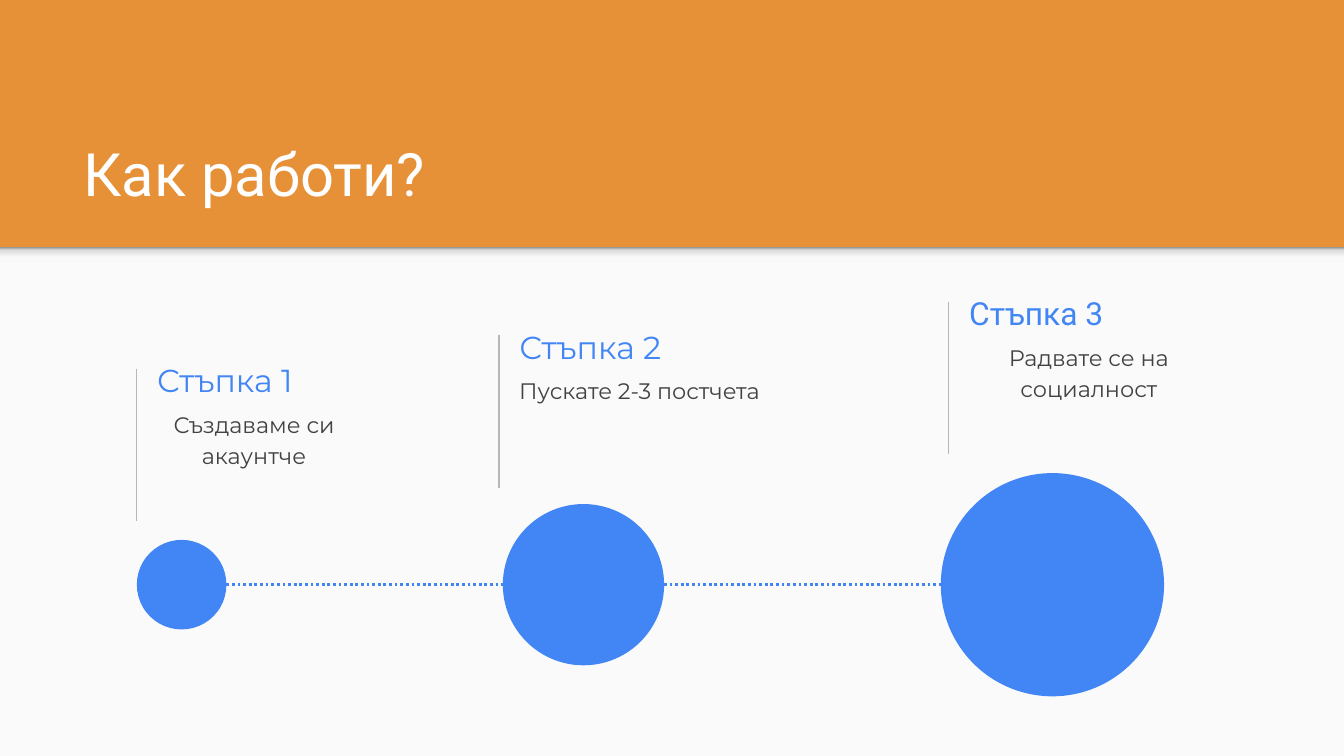
from lxml.etree import SubElement
from pptx import Presentation
from pptx.dml.color import RGBColor
from pptx.enum.dml import MSO_LINE
from pptx.enum.shapes import MSO_CONNECTOR, MSO_SHAPE
from pptx.enum.text import MSO_ANCHOR, MSO_AUTO_SIZE, PP_ALIGN
from pptx.oxml.ns import qn
from pptx.util import Pt

ORANGE = RGBColor(0xE6, 0x91, 0x38)
PAPER = RGBColor(0xFA, 0xFA, 0xFA)
WHITE = RGBColor(0xFF, 0xFF, 0xFF)
BLUE = RGBColor(0x42, 0x85, 0xF4)
GRAY = RGBColor(0xB7, 0xB7, 0xB7)
DARK = RGBColor(0x42, 0x42, 0x42)
FADE = [(0, "F9F9F9"), (36, "F9F9F9"), (80, "DEDEDE"), (100, "999999")]

WIDTH, HEIGHT = 720, 405
EDGE = 132.5    # where the orange header ends
AXIS = 313.25   # centre line of the circles
RULE = 81.7     # height of the gray rules
HEAD_W = 142.5
LEFT, MID = PP_ALIGN.LEFT, PP_ALIGN.CENTER

TITLE = "Как работи?"
# head, head font, body, body alignment, body width, rule x, rule top
STEPS = [
    ("Стъпка 1", "Montserrat", "Създаваме си акаунтче", MID, 118, 73.3, 197.6),
    ("Стъпка 2", "Montserrat", "Пускате 2-3 постчета", LEFT, 161, 267.3, 179.5),
    ("Стъпка 3", "Roboto", "Радвате се на социалност", MID, 142.5, 508.3, 161.7),
]
DOTS = [(73.3, 48), (269.4, 86.4), (504, 119.6)]  # left, diameter


def write(box, place, text, font, size, color, align=LEFT, anchor=MSO_ANCHOR.TOP):
    """Place a text shape and fill it with one run; return its paragraph."""
    box.left, box.top, box.width, box.height = map(Pt, place)
    frame = box.text_frame
    frame.word_wrap = True
    frame.auto_size = MSO_AUTO_SIZE.NONE
    frame.vertical_anchor = anchor
    frame.margin_left = frame.margin_right = Pt(7.2)
    frame.margin_top = frame.margin_bottom = Pt(7.2)
    para = frame.paragraphs[0]
    para.alignment = align
    run = para.add_run()
    run.text = text
    run.font.name, run.font.size = font, Pt(size)
    run.font.color.rgb = color
    return para


def draw(shapes, kind, place, color):
    shape = shapes.add_shape(kind, *map(Pt, place))
    shape.shadow.inherit = False
    shape.fill.solid()
    shape.fill.fore_color.rgb = color
    shape.line.fill.background()
    return shape


def link(shapes, ends, color, width):
    line = shapes.add_connector(MSO_CONNECTOR.STRAIGHT, *map(Pt, ends))
    line.line.color.rgb = color
    line.line.width = Pt(width)
    SubElement(line._element.spPr, qn("a:effectLst"))
    return line


def fade(shape, stops):
    """Fill a shape with a gradient that runs from bottom to top."""
    shape.fill.gradient()
    shape.fill.gradient_angle = 90
    group = shape._element.spPr.find(qn("a:gradFill")).find(qn("a:gsLst"))
    for old in list(group):
        group.remove(old)
    for pos, color in stops:
        stop = SubElement(group, qn("a:gs"), pos=str(pos * 1000))
        SubElement(stop, qn("a:srgbClr"), val=color)


def main():
    deck = Presentation()
    deck.slide_width, deck.slide_height = Pt(WIDTH), Pt(HEIGHT)
    slide = deck.slides.add_slide(deck.slide_layouts[5])
    shapes = slide.shapes
    slide.background.fill.solid()
    slide.background.fill.fore_color.rgb = ORANGE

    draw(shapes, MSO_SHAPE.RECTANGLE, (0, EDGE, WIDTH, HEIGHT - EDGE), PAPER)
    fade(draw(shapes, MSO_SHAPE.RECTANGLE, (0, EDGE, WIDTH, 8.6), PAPER), FADE)
    write(shapes.title, (37.4, 58.3, 647.3, 60.5), TITLE, "Roboto", 32, WHITE,
          anchor=MSO_ANCHOR.BOTTOM)

    for head, font, body, align, wide, x, top in STEPS:
        link(shapes, (x, top, x, top + RULE), GRAY, 0.75)
        left = x + 3.8
        box = shapes.add_textbox(0, 0, 0, 0)
        write(box, (left, top - 9.4, HEAD_W, 31), head, font, 17, BLUE,
              anchor=MSO_ANCHOR.MIDDLE)
        box = shapes.add_textbox(0, 0, 0, 0)
        para = write(box, (left, top + 13.4, wide, 45.4), body, "Montserrat", 12,
                     DARK, align)
        para.line_spacing = 1.15
        para.space_after = Pt(16)

    start = DOTS[0][0] + DOTS[0][1]
    line = link(shapes, (start, AXIS, DOTS[-1][0], AXIS), BLUE, 1.5)
    line.line.dash_style = MSO_LINE.ROUND_DOT
    for x, size in DOTS:
        draw(shapes, MSO_SHAPE.OVAL, (x, AXIS - size / 2, size, size), BLUE)

    deck.save("out.pptx")


if __name__ == "__main__":
    main()
